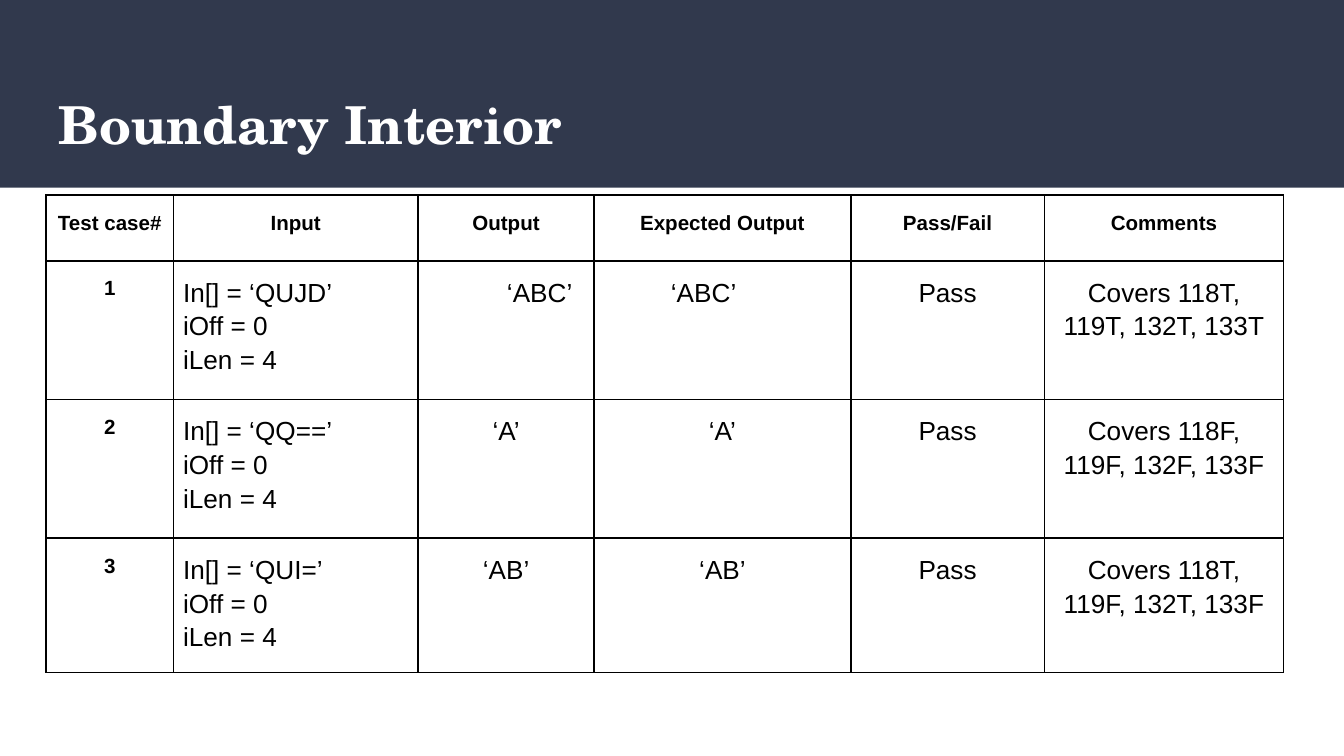
from lxml import etree
from pptx import Presentation
from pptx import util as u
from pptx.dml.color import RGBColor
from pptx.enum import shapes, text
from pptx.oxml import ns

COLORS = {"band": "31394D", "title": "FFFFFF", "ink": "000000"}
COLS = [2.41, 4.62, 3.33, 4.85, 3.66, 4.52]
ROWS = [1.24, 2.62, 2.62, 2.29]
HEADER = ["Test case#", "Input", "Output", "Expected Output", "Pass/Fail", "Comments"]
CASES = [
    ("QUJD", "ABC", "Covers 118T, 119T, 132T, 133T"),
    ("QQ==", "A", "Covers 118F, 119F, 132F, 133F"),
    ("QUI=", "AB", "Covers 118T, 119F, 132T, 133F"),
]
INDENTED = {(1, 2), (1, 3)}
LEFT = {(1, 1), (2, 1), (3, 1), (1, 3)}


def style(p, size, color, bold, name="Arial"):
    """Set the font of a whole paragraph."""
    p.font.size = u.Pt(size)
    p.font.bold = bold
    p.font.name = name
    p.font.color.rgb = RGBColor.from_string(COLORS[color])


def add_borders(cell):
    """Draw a thin solid line on all four sides of a cell."""
    tc_pr = cell._tc.get_or_add_tcPr()
    for i, side in enumerate(("lnL", "lnR", "lnT", "lnB")):
        ln = etree.Element(ns.qn(f"a:{side}"), w=str(u.Pt(1)))
        fill = etree.SubElement(ln, ns.qn("a:solidFill"))
        etree.SubElement(fill, ns.qn("a:srgbClr"), val=COLORS["ink"])
        tc_pr.insert(i, ln)


def add_header(s, left, top, width, height):
    """Place the dark band and the slide title on it."""
    band = s.shapes.add_shape(shapes.MSO_SHAPE.RECTANGLE,
                              u.Cm(left), u.Cm(top), u.Cm(width), u.Cm(height))
    band.shadow.inherit = False
    band.fill.solid()
    band.fill.fore_color.rgb = RGBColor.from_string(COLORS["band"])
    band.line.fill.background()
    sp = s.shapes.add_textbox(u.Cm(left + 0.86), u.Cm(top + 1.47),
                              u.Cm(width - 1.72), u.Cm(1.73))
    tf = sp.text_frame
    tf.word_wrap = True
    tf.vertical_anchor = text.MSO_ANCHOR.MIDDLE
    tf.margin_left = tf.margin_right = tf.margin_top = tf.margin_bottom = u.Cm(0.25)
    p = tf.paragraphs[0]
    p.text = "Boundary Interior"
    style(p, 28, "title", True, "TeX Gyre Schola")


def fill_cell(cell, value, row, col):
    """Write and format one table cell."""
    cell.fill.background()
    cell.margin_left = cell.margin_right = u.Cm(0.18)
    cell.margin_top = cell.margin_bottom = u.Cm(0.25)
    p = cell.text_frame.paragraphs[0]
    p.text = value
    p.line_spacing = 1.15
    p.space_before = p.space_after = u.Pt(12)
    p.alignment = text.PP_ALIGN.LEFT if (row, col) in LEFT else text.PP_ALIGN.CENTER
    if (row, col) in INDENTED:
        p._p.get_or_add_pPr().set("marL", str(u.Cm(1.27)))
    label = row == 0 or col == 0
    style(p, 11 if label else 14, "ink", label)
    add_borders(cell)


def add_cases(s, left, top, width, height):
    """Place the table of test cases."""
    rows = [HEADER] + [
        [str(n), f"In[] = ‘{code}’\viOff = 0\viLen = 4", f"‘{out}’", f"‘{out}’", "Pass", note]
        for n, (code, out, note) in enumerate(CASES, 1)
    ]
    table = s.shapes.add_table(len(ROWS), len(COLS), u.Cm(left), u.Cm(top),
                               u.Cm(width), u.Cm(height)).table
    table.first_row = table.horz_banding = False
    for column, w in zip(table.columns, COLS):
        column.width = u.Cm(w)
    for i, h in enumerate(ROWS):
        table.rows[i].height = u.Cm(h)
        for j, value in enumerate(rows[i]):
            fill_cell(table.cell(i, j), value, i, j)


def main():
    """Build and save the slide."""
    prs = Presentation()
    prs.slide_width, prs.slide_height = u.Cm(25.4), u.Cm(14.29)
    s = prs.slides.add_slide(prs.slide_layouts[6])
    add_header(s, 0, 0, 25.4, 3.55)
    add_cases(s, 0.87, 3.69, sum(COLS), sum(ROWS))
    prs.save("out.pptx")


if __name__ == "__main__":
    main()
